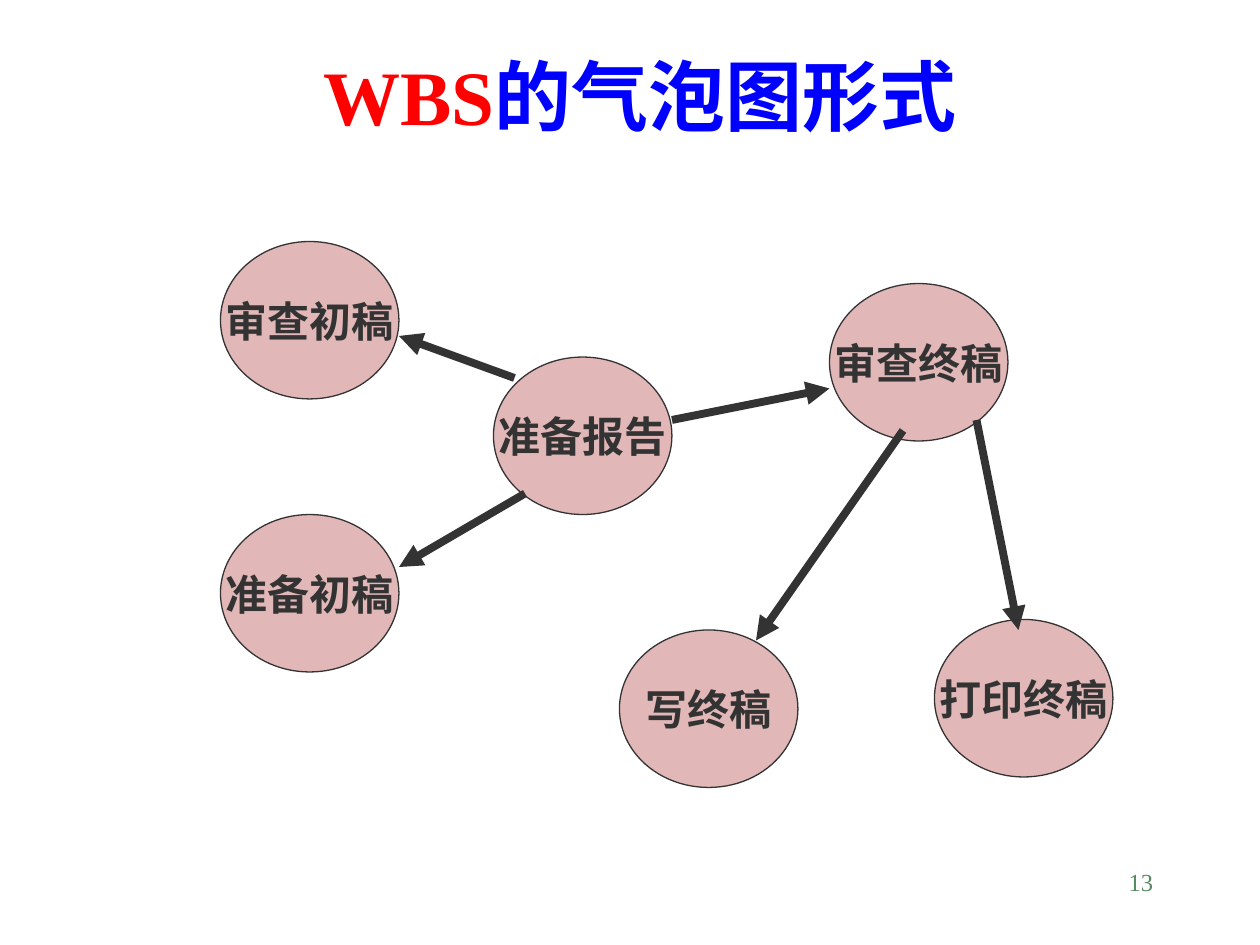
from dataclasses import dataclass

from lxml import etree
from pptx import Presentation
from pptx.dml.color import RGBColor
from pptx.enum.shapes import MSO_CONNECTOR, MSO_SHAPE
from pptx.enum.text import MSO_ANCHOR, PP_ALIGN
from pptx.oxml.ns import qn
from pptx.util import Emu, Pt

STRAIGHT = MSO_CONNECTOR.STRAIGHT
OVAL = MSO_SHAPE.OVAL
CENTER, RIGHT = PP_ALIGN.CENTER, PP_ALIGN.RIGHT
TOP, MIDDLE, BOTTOM = MSO_ANCHOR.TOP, MSO_ANCHOR.MIDDLE, MSO_ANCHOR.BOTTOM

EMU_PER_PX = 7620
SLIDE_WIDTH, SLIDE_HEIGHT = 1200, 900
BUBBLE_WIDTH, BUBBLE_HEIGHT = 170, 150

BUBBLES = [
    ("准备报告", 260, 110),
    ("审查初稿", 0, 0),
    ("准备初稿", 0, 260),
    ("审查终稿", 580, 40),
    ("写终稿", 380, 370),
    ("打印终稿", 680, 360),
]
ARROWS = [
    ((280, 130), (170, 90)),
    ((290, 240), (170, 310)),
    ((430, 170), (580, 140)),
    ((650, 180), (510, 380)),
    ((720, 170), (760, 370)),
]


@dataclass(frozen=True)
class Theme:
    """Colours, type sizes and line widths of the slide."""
    font: str = "Times New Roman"
    title_accent: str = "FF0000"
    title: str = "0000FF"
    ink: str = "333333"
    bubble: str = "E1B7B7"
    number: str = "578963"
    title_size: int = 44
    bubble_size: int = 24
    number_size: int = 14
    outline_width: float = 0.75
    arrow_width: float = 4.5


THEME = Theme()


def px(*lengths):
    """Turn pixel lengths into EMU."""
    return [Emu(length * EMU_PER_PX) for length in lengths]


def write_text(shape, runs, size, bold, alignment, anchor, wrap=True):
    """Write one paragraph of (text, colour) runs into a shape."""
    frame = shape.text_frame
    frame.word_wrap = wrap
    frame.vertical_anchor = anchor
    paragraph = frame.paragraphs[0]
    paragraph.alignment = alignment
    for text, color in runs:
        run = paragraph.add_run()
        run.text = text
        run.font.name = THEME.font
        run.font.size = Pt(size)
        run.font.bold = bold
        run.font.color.rgb = RGBColor.from_string(color)


def add_title(slide, box):
    """Place the two-coloured title."""
    shape = slide.shapes.add_textbox(*px(*box))
    runs = [("WBS", THEME.title_accent), ("的气泡图形式", THEME.title)]
    write_text(shape, runs, THEME.title_size, True, CENTER, BOTTOM)


def add_bubble(shapes, text, left, top):
    """Add one labelled bubble."""
    shape = shapes.add_shape(OVAL, *px(left, top, BUBBLE_WIDTH, BUBBLE_HEIGHT))
    shape.shadow.inherit = False
    shape.fill.solid()
    shape.fill.fore_color.rgb = RGBColor.from_string(THEME.bubble)
    shape.line.color.rgb = RGBColor.from_string(THEME.ink)
    shape.line.width = Pt(THEME.outline_width)
    write_text(shape, [(text, THEME.ink)], THEME.bubble_size, True, CENTER, MIDDLE, False)


def add_arrow(shapes, start_x, start_y, end_x, end_y):
    """Add one straight arrow with a triangular head at its end."""
    arrow = shapes.add_connector(STRAIGHT, *px(start_x, start_y, end_x, end_y))
    arrow.line.color.rgb = RGBColor.from_string(THEME.ink)
    arrow.line.width = Pt(THEME.arrow_width)
    properties = arrow.line._get_or_add_ln()
    etree.SubElement(properties, qn("a:tailEnd"), type="triangle")
    etree.SubElement(arrow._element.spPr, qn("a:effectLst"))


def add_bubble_chart(slide, left, top):
    """Place the grouped bubbles and arrows from a top-left corner."""
    shapes = slide.shapes.add_group_shape().shapes
    for text, x, y in BUBBLES:
        add_bubble(shapes, text, left + x, top + y)
    for (start_x, start_y), (end_x, end_y) in ARROWS:
        add_arrow(shapes, left + start_x, top + start_y, left + end_x, top + end_y)


def add_page_number(slide, box):
    """Place the page number."""
    shape = slide.shapes.add_textbox(*px(*box))
    write_text(shape, [("13", THEME.number)], THEME.number_size, False, RIGHT, TOP)


def main():
    """Build and save the presentation."""
    presentation = Presentation()
    presentation.slide_width, presentation.slide_height = px(SLIDE_WIDTH, SLIDE_HEIGHT)
    slide = presentation.slides.add_slide(presentation.slide_layouts[6])
    add_title(slide, (100, 60, 1020, 80))
    add_bubble_chart(slide, 210, 230)
    add_page_number(slide, (860, 820, 250, 60))
    presentation.save("out.pptx")


if __name__ == "__main__":
    main()
